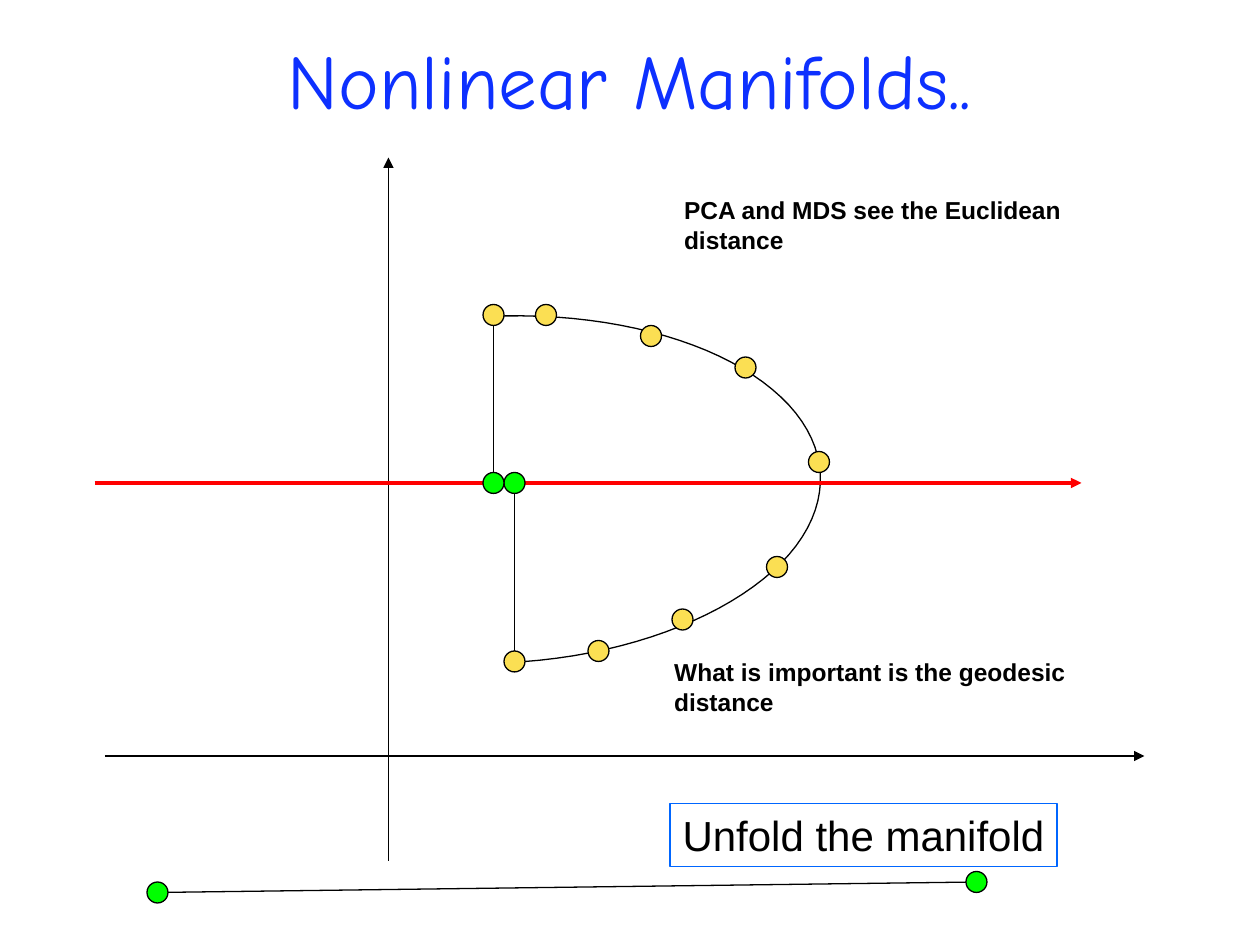
from lxml import etree
from pptx import Presentation
from pptx.dml.color import RGBColor
from pptx.enum.shapes import MSO_CONNECTOR, MSO_SHAPE
from pptx.enum.text import MSO_ANCHOR, PP_ALIGN
from pptx.oxml.ns import qn
from pptx.util import Cm, Pt

COLORS = {
    "title": "0D30FF",
    "ink": "000000",
    "sample": "FBDF53",
    "projection": "00FF00",
    "component": "FF0000",
    "frame": "0066FF",
}
COLORS = {part: RGBColor.from_string(value) for part, value in COLORS.items()}
GRID = 2.54 / 12
DOT = 2 * GRID * 0.4


def add_segment(shapes, start, end, color="ink", width=0.75, arrow=False):
    ends = [Cm(GRID * value) for value in (*start, *end)]
    segment = shapes.add_connector(MSO_CONNECTOR.STRAIGHT, *ends)
    segment.line.color.rgb = COLORS[color]
    segment.line.width = Pt(width)
    if arrow:
        etree.SubElement(segment.line._get_or_add_ln(), qn("a:tailEnd"), type="triangle")
    etree.SubElement(segment._element.spPr, qn("a:effectLst"))


def add_dot(shapes, center, color):
    x, y = center
    dot = shapes.add_shape(
        MSO_SHAPE.OVAL, Cm(GRID * (x - 1)), Cm(GRID * (y - 1)), Cm(GRID * 2), Cm(GRID * 2)
    )
    dot.shadow.inherit = False
    dot.fill.solid()
    dot.fill.fore_color.rgb = COLORS[color]
    dot.line.color.rgb = COLORS["ink"]
    dot.line.width = Pt(0.75)


prs = Presentation()
prs.slide_width, prs.slide_height = Cm(25.4), Cm(19.05)
slide = prs.slides.add_slide(prs.slide_layouts[6])

add_segment(slide.shapes, (37, 82), (37, 15), arrow=True)
add_segment(slide.shapes, (10, 72), (109, 72), arrow=True)

manifold = slide.shapes.add_group_shape().shapes
bezier_points = [
    (9.83, 6.38), (12.17, 6.27), (14.35, 6.83), (15.57, 7.85), (16.79, 8.86),
    (16.87, 10.21), (15.75, 11.35), (14.63, 12.47), (12.52, 13.26), (10.19, 13.36),
]
curve_points = []
for first in (0, 3, 6):
    controls = bezier_points[first:first + 4]
    for step in range(1, 21):
        t = step / 20
        weights = ((1 - t) ** 3, 3 * t * (1 - t) ** 2, 3 * t ** 2 * (1 - t), t ** 3)
        curve_points.append(
            tuple(Cm(sum(w * p[axis] for w, p in zip(weights, controls))) for axis in (0, 1))
        )
curve_start = [Cm(value) for value in bezier_points[0]]
builder = manifold.build_freeform(*curve_start)
builder.add_line_segments(curve_points, close=False)
curve = builder.convert_to_shape()
curve.shadow.inherit = False
curve.fill.background()
curve.line.color.rgb = COLORS["ink"]
curve.line.width = Pt(0.75)

samples = [
    (47, 30), (49, 63), (52, 30), (78, 44), (62, 32), (57, 62), (71, 35), (65, 59), (74, 54),
]
for center in samples:
    add_dot(manifold, center, "sample")

add_segment(slide.shapes, (9, 46), (103, 46), "component", 2, arrow=True)
add_segment(slide.shapes, (47, 31), (47, 46))
add_segment(slide.shapes, (49, 62), (49, 46))
for center in ((49, 46), (47, 46)):
    add_dot(slide.shapes, center, "projection")

unfolded = slide.shapes.add_group_shape().shapes
unfolded_ends = [(15, 85), (93, 84)]
add_segment(unfolded, *unfolded_ends)
for center in unfolded_ends:
    add_dot(unfolded, center, "projection")

labels = [
    ("Nonlinear Manifolds..", (1.27, 0, 22.86, 3.18), "Comic Neue", 44, False, "title", True),
    ("Unfold the manifold", (13.51, 16.2, 7.8, 1.27), "Arial", 24, False, "ink", False),
    ("PCA and MDS see the Euclidean\ndistance", (13.54, 3.81, 10.06, 1.45), "Arial", 14, True, "ink", True),
    ("What is important is the geodesic distance", (13.34, 13.13, 10.54, 0.86), "Arial", 14, True, "ink", False),
]
for text, box, font, size, bold, color, wrap in labels:
    label = slide.shapes.add_textbox(*[Cm(value) for value in box])
    frame = label.text_frame
    frame.word_wrap = wrap
    frame.text = text
    if color == "title":
        frame.vertical_anchor = MSO_ANCHOR.MIDDLE
        frame.paragraphs[0].alignment = PP_ALIGN.CENTER
    if size == 24:
        label.line.color.rgb = COLORS["frame"]
        label.line.width = Pt(0.75)
    for paragraph in frame.paragraphs:
        for run in paragraph.runs:
            run.font.name = font
            run.font.size = Pt(size)
            run.font.bold = bold
            run.font.color.rgb = COLORS[color]

prs.save("out.pptx")
